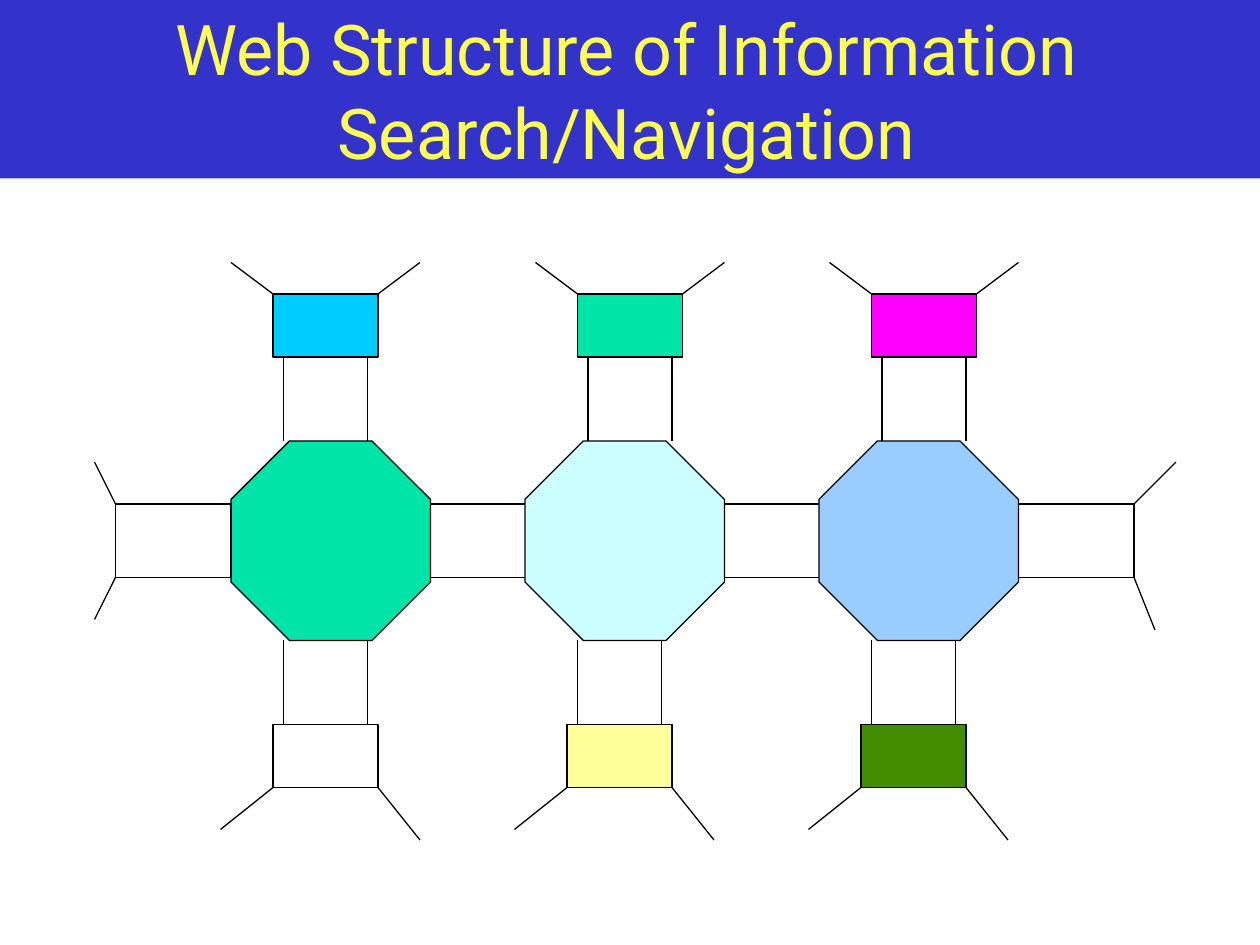
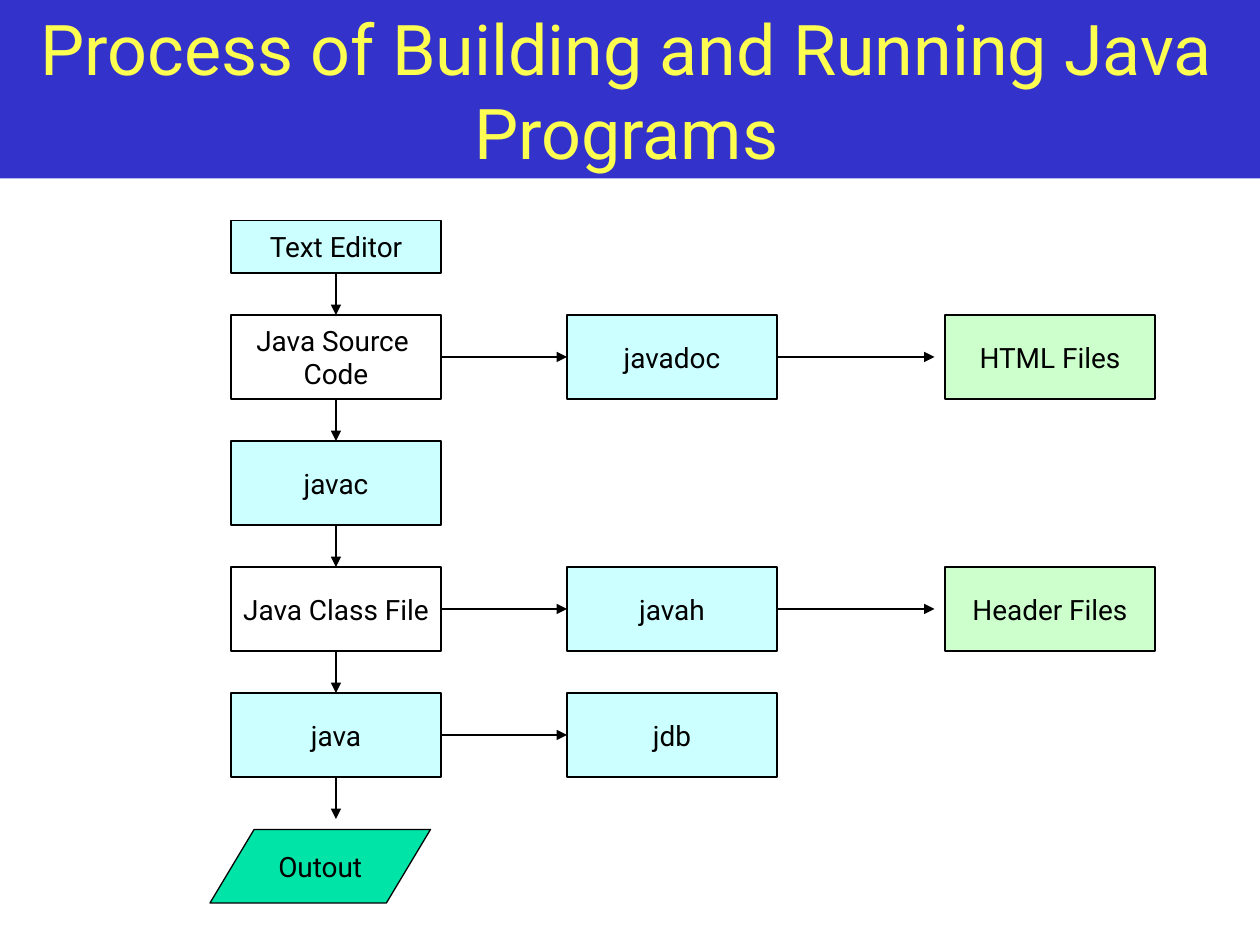
from lxml.etree import SubElement
from pptx import Presentation
from pptx.dml.color import RGBColor
from pptx.enum.shapes import MSO_CONNECTOR, MSO_SHAPE as Preset
from pptx.enum.text import MSO_ANCHOR, MSO_AUTO_SIZE, PP_ALIGN
from pptx.oxml.ns import qn
from pptx.util import Cm, Pt

BLACK = RGBColor(0x00, 0x00, 0x00)
BAND_BLUE = RGBColor(0x33, 0x33, 0xCC)
TITLE_YELLOW = RGBColor(0xFE, 0xFE, 0x50)
GREEN = RGBColor(0x00, 0xE4, 0xA8)
PALE_CYAN = RGBColor(0xCC, 0xFF, 0xFF)
PALE_BLUE = RGBColor(0x99, 0xCC, 0xFF)
PALE_GREEN = RGBColor(0xCC, 0xFF, 0xCC)
PALE_YELLOW = RGBColor(0xFF, 0xFF, 0x99)
SKY_BLUE = RGBColor(0x00, 0xCC, 0xFF)
MAGENTA = RGBColor(0xFF, 0x00, 0xFF)
OLIVE = RGBColor(0x43, 0x8E, 0x00)

FONT = "Roboto"
LINE_WIDTH = Pt(0.75)
TOP, LEFT, BOTTOM, RIGHT = range(4)


def grid(cells):
    """Length of grid cells; the slide is 120 by 90 cells."""
    return Cm(cells * 2.54 / 12)


def write(frame, text, size=16, color=BLACK, wrap=False):
    """Write one centred paragraph into a text frame."""
    frame.auto_size = MSO_AUTO_SIZE.NONE
    frame.word_wrap = wrap
    frame.vertical_anchor = MSO_ANCHOR.MIDDLE
    paragraph = frame.paragraphs[0]
    paragraph.text = text
    paragraph.alignment = PP_ALIGN.CENTER
    for run in paragraph.runs:
        run.font.name = FONT
        run.font.size = Pt(size)
        run.font.color.rgb = color


class Deck:
    def __init__(self):
        self.presentation = Presentation()
        self.presentation.slide_width = grid(120)
        self.presentation.slide_height = grid(90)
        self.layout = self.presentation.slide_layouts.get_by_name("Title Only")
        self.slide = None

    def add_slide(self, title):
        first = self.slide is None
        self.slide = self.presentation.slides.add_slide(self.layout)
        if first:
            # The title band belongs to the layout, behind its placeholders
            band = self.shape(0, 0, 120, 17, BAND_BLUE, outlined=False)
            self.layout.shapes.element.insert(2, band.element)
        placeholder = self.slide.shapes.title
        placeholder.left, placeholder.top = grid(2), grid(2)
        placeholder.width, placeholder.height = grid(115.3), grid(13)
        write(placeholder.text_frame, title, size=40, color=TITLE_YELLOW, wrap=True)

    def shape(self, x, y, width, height, fill=None, text=None,
              preset=Preset.RECTANGLE, outlined=True):
        shape = self.slide.shapes.add_shape(
            preset, grid(x), grid(y), grid(width), grid(height))
        shape.shadow.inherit = False
        if fill is None:
            shape.fill.background()
        else:
            shape.fill.solid()
            shape.fill.fore_color.rgb = fill
        if outlined:
            shape.line.color.rgb = BLACK
            shape.line.width = LINE_WIDTH
        else:
            shape.line.fill.background()
        if text:
            write(shape.text_frame, text)
        return shape

    def line(self, x1, y1, x2, y2):
        line = self.slide.shapes.add_connector(
            MSO_CONNECTOR.STRAIGHT, grid(x1), grid(y1), grid(x2), grid(y2))
        line.line.color.rgb = BLACK
        line.line.width = LINE_WIDTH
        SubElement(line.element.spPr, qn("a:effectLst"))
        return line

    def arrow(self, start, start_side, points, end=None, end_side=None):
        arrow = self.line(*points)
        arrow.begin_connect(start, start_side)
        if end is not None:
            arrow.end_connect(end, end_side)
        outline = arrow.element.spPr.find(qn("a:ln"))
        SubElement(outline, qn("a:tailEnd"), type="triangle")


def build_web_structure(deck):
    deck.add_slide("Web Structure of Information Search/Navigation")

    # Hubs with a box above and below: hub x, top box x, bottom box x, fills
    columns = [
        (22, 26, 26, GREEN, SKY_BLUE, None),
        (50, 55, 54, PALE_CYAN, GREEN, PALE_YELLOW),
        (78, 83, 82, PALE_BLUE, MAGENTA, OLIVE),
    ]
    for hub_x, top_x, bottom_x, hub_fill, top_fill, bottom_fill in columns:
        deck.shape(hub_x, 42, 19, 19, hub_fill, preset=Preset.OCTAGON)
        deck.shape(top_x, 28, 10, 6, top_fill)
        deck.shape(bottom_x, 69, 10, 6, bottom_fill)
        for offset in (1, 9):
            deck.line(top_x + offset, 42, top_x + offset, 34)
            deck.line(bottom_x + offset, 69, bottom_x + offset, 61)
        deck.line(top_x, 28, top_x - 4, 25)
        deck.line(top_x + 10, 28, top_x + 14, 25)
        deck.line(bottom_x, 75, bottom_x - 5, 79)
        deck.line(bottom_x + 10, 75, bottom_x + 14, 80)

    # Links between neighbouring hubs
    for link_x in (41, 69):
        for link_y in (48, 55):
            deck.line(link_x, link_y, link_x + 9, link_y)

    # Side boxes and their open links
    for side_x in (11, 97):
        deck.shape(side_x, 48, 11, 7)
    for points in ((108, 48, 112, 44), (108, 55, 110, 60),
                   (11, 55, 9, 59), (11, 48, 9, 44)):
        deck.line(*points)


def build_java_process(deck):
    deck.add_slide("Process of Building and Running Java Programs")
    main_x, tool_x, result_x, width, height = 22, 54, 90, 20, 8
    center_x = main_x + width / 2

    # Each row: y, main step and fill, side tool, resulting files
    rows = [
        (30, "Java Source \vCode", None, "javadoc", "HTML Files"),
        (42, "javac", PALE_CYAN, None, None),
        (54, "Java Class File", None, "javah", "Header Files"),
        (66, "java", PALE_CYAN, "jdb", None),
    ]
    previous = deck.shape(main_x, 21, width, 5, PALE_CYAN, "Text Editor")
    for y, step_text, fill, tool_text, result_text in rows:
        middle_y = y + height / 2
        step = deck.shape(main_x, y, width, height, fill, step_text)
        deck.arrow(previous, BOTTOM, (center_x, y - 4, center_x, y), step, TOP)
        previous = step
        if tool_text:
            tool = deck.shape(tool_x, y, width, height, PALE_CYAN, tool_text)
            deck.arrow(step, RIGHT, (main_x + width, middle_y, tool_x, middle_y),
                       tool, LEFT)
        if result_text:
            deck.shape(result_x, y, width, height, PALE_GREEN, result_text)
            deck.arrow(tool, RIGHT,
                       (tool_x + width, middle_y, result_x - 1, middle_y))

    # Program output
    deck.arrow(previous, BOTTOM, (center_x, 74, center_x, 78))
    deck.shape(20, 79, 21, 7, GREEN, "Outout", preset=Preset.FLOWCHART_DATA)


def main():
    deck = Deck()
    build_web_structure(deck)
    build_java_process(deck)
    deck.presentation.save("out.pptx")


if __name__ == "__main__":
    main()
